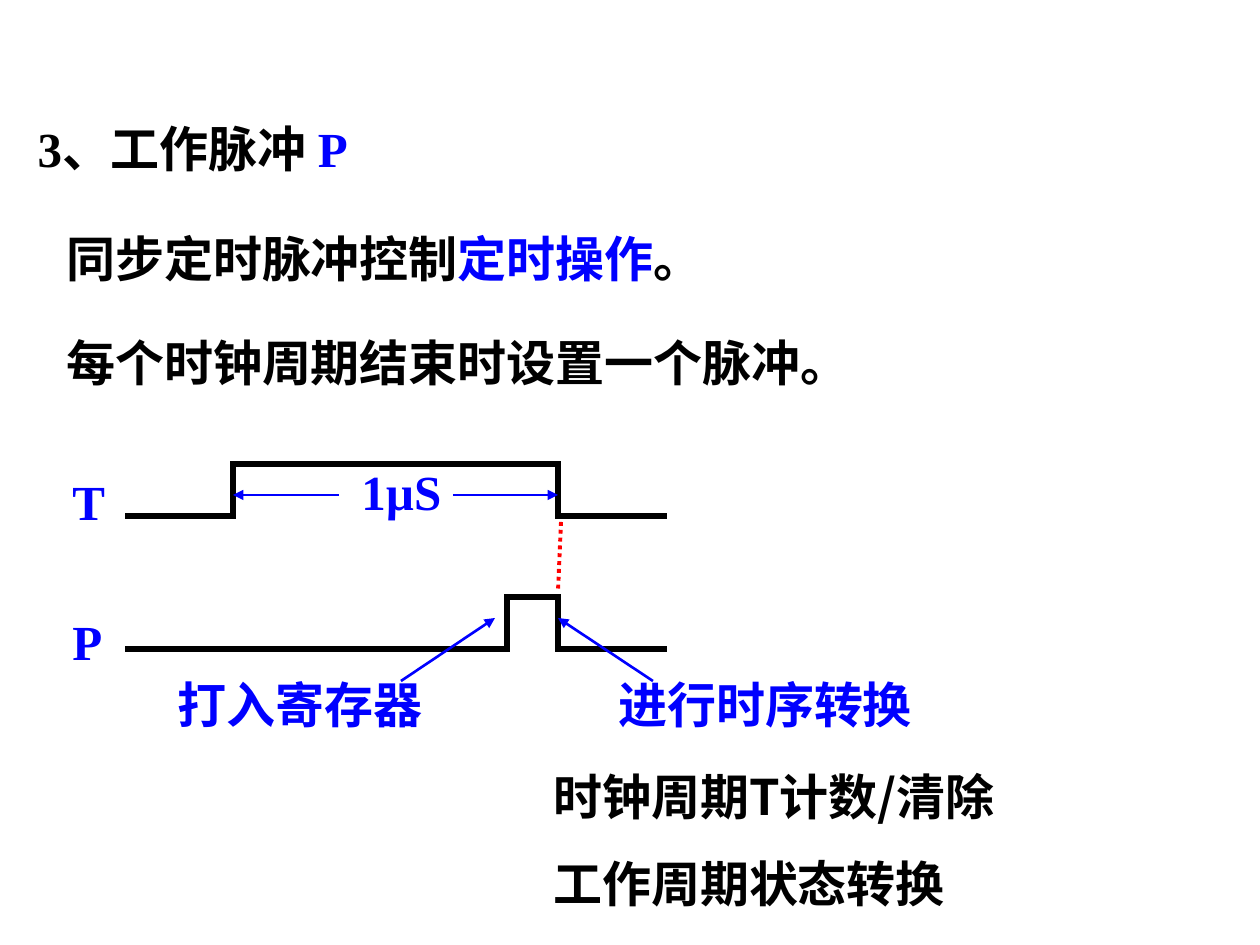
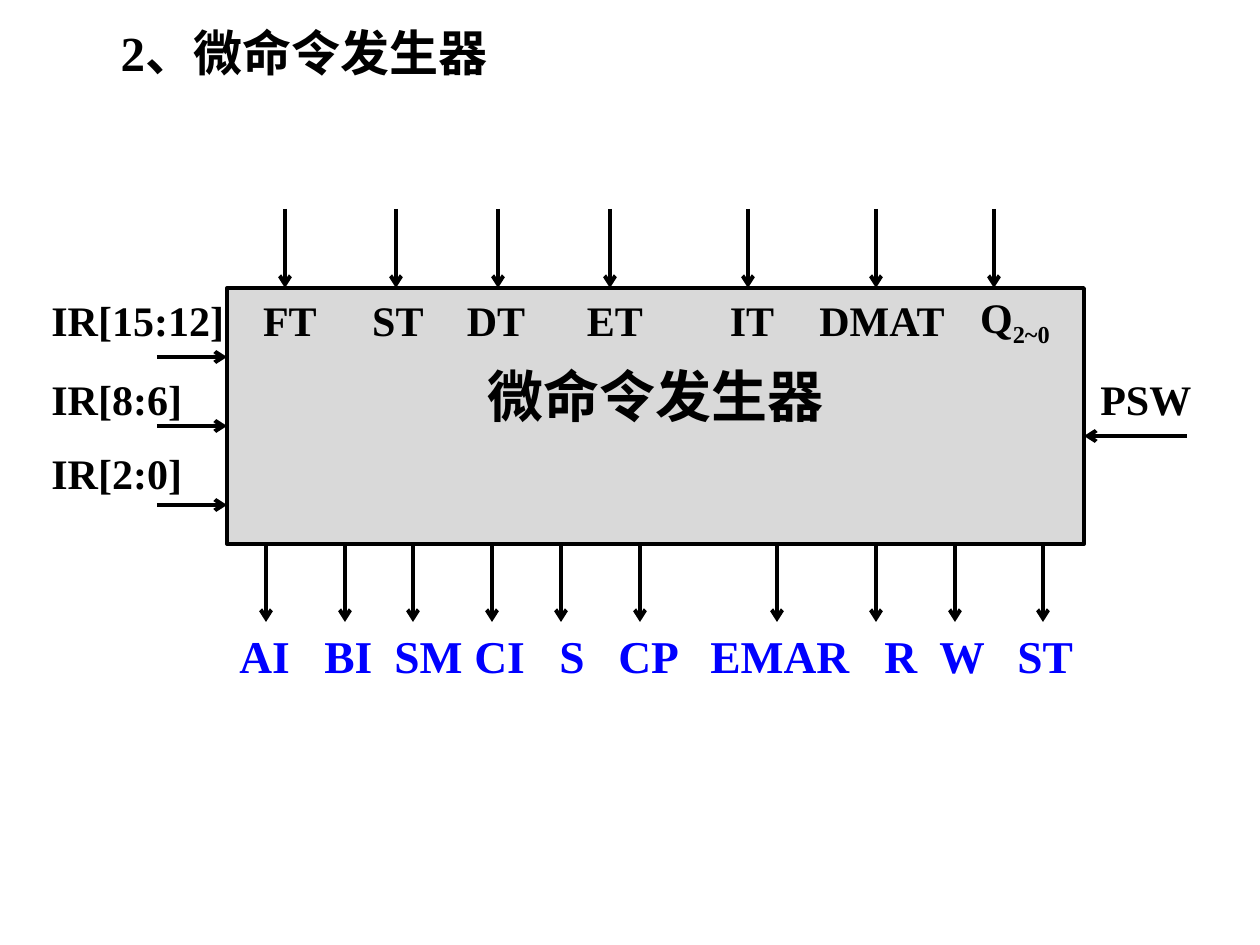
from itertools import pairwise

from lxml import etree
from pptx import Presentation
from pptx import util as u
from pptx.dml.color import RGBColor
from pptx.enum import dml, shapes, text
from pptx.oxml.ns import qn

PIXEL = 914400 / 126
COLORS = {"ink": "000000", "blue": "0000FF", "red": "FF0000", "panel": "D9D9D9"}
LATIN, CJK = "Times New Roman", "Noto Sans CJK SC"
LINE_HEIGHT = 72

# Slide 1: working pulse (spans are text, colour; boxes are left, top, width)
PULSE_TITLE = [("3、工作脉冲 ", "ink"), ("P", "blue")]
PULSE_TEXTS = [
    ([("同步定时脉冲控制", "ink"), ("定时操作", "blue"), ("。", "ink")], (54, 222, 1018), LATIN),
    ([("每个时钟周期结束时设置一个脉冲。", "ink")], (54, 326, 1018), LATIN),
    ([("T", "blue")], (60, 465, 105), LATIN),
    ([("1µS", "blue")], (349, 455, 158), LATIN),
    ([("P", "blue")], (60, 605, 105), LATIN),
    ([("打入寄存器", "blue")], (165, 668, 325), LATIN),
    ([("进行时序转换", "blue")], (606, 668, 378), LATIN),
    ([("时钟周期T计数/清除", "ink")], (541, 760, 655), CJK),
    ([("工作周期状态转换", "ink")], (541, 847, 694), LATIN),
]
WAVE_START, WAVE_END, WAVE_HEIGHT, FALL = 128, 664, 52, 558
WAVES = [(233, 516), (507, 649)]  # rising edge, base line
SPAN_ARROWS = [((339, 495), (233, 495)), ((453, 495), (558, 495))]
NOTE_ARROWS = [((401, 681), (495, 618)), ((653, 681), (558, 618))]

# Slide 2: micro-command generator
GENERATOR_TITLE = [("2、微命令发生器", "ink")]
GENERATOR = "微命令发生器"
BODY = (227, 288, 857, 256)
TOP_ARROWS = [285, 396, 498, 610, 748, 876, 994]
TOP_LABELS = [("FT", 290), ("ST", 398), ("DT", 496), ("ET", 615), ("IT", 752), ("DMAT", 882)]
LEFT_INPUTS = [("IR[15:12]", 288, 357), ("IR[8:6]", 367, 426), ("IR[2:0]", 441, 505)]
BOTTOM_ARROWS = [266, 345, 413, 492, 561, 640, 777, 876, 955, 1043]
OUTPUTS = [("AI", 239), ("BI", 324), ("SM", 394), ("CI", 474), ("S", 559),
           ("CP", 618), ("EMAR", 710), ("R", 884), ("W", 939), ("ST", 1017)]


def px(value):
    return u.Emu(round(value * PIXEL))


def rgb(name):
    return RGBColor.from_string(COLORS[name])


def place(shape, left, top, width, height):
    shape.left, shape.top, shape.width, shape.height = map(px, (left, top, width, height))


def write(shape, spans, size=28, font=LATIN, align=text.PP_ALIGN.LEFT):
    """Fill one bold paragraph with (text, colour) spans."""
    frame = shape.text_frame
    frame.word_wrap = True
    frame.auto_size = text.MSO_AUTO_SIZE.NONE
    frame.vertical_anchor = text.MSO_ANCHOR.TOP
    para = frame.paragraphs[0]
    para.alignment = align
    para.font.size, para.font.name, para.font.bold = u.Pt(size), font, True
    for words, color in spans:
        span = para.add_run()
        span.text = words
        span.font.color.rgb = rgb(color)
    return para


def add_text(page, spans, left, top, width, height=LINE_HEIGHT, **style):
    box = page.shapes.add_textbox(px(left), px(top), px(width), px(height))
    return write(box, spans, **style)


def add_line(page, start, end, color="ink", width=2.25, arrow=None, dash=None, cap=None):
    """Draw a line; an arrowhead, if any, sits at its end."""
    line = page.shapes.add_connector(
        shapes.MSO_CONNECTOR.STRAIGHT, *map(px, (*start, *end)))
    line.line.color.rgb = rgb(color)
    line.line.width = u.Pt(width)
    if dash:
        line.line.dash_style = dash
    properties = line._element.spPr
    outline = properties.find(qn("a:ln"))
    if cap:
        outline.set("cap", cap)
    if arrow:
        etree.SubElement(outline, qn("a:tailEnd"), type=arrow)
    etree.SubElement(properties, qn("a:effectLst"))


def add_page(deck, title, left, top, width):
    page = deck.slides.add_slide(deck.slide_layouts[5])
    place(page.shapes.title, left, top, width, LINE_HEIGHT)
    write(page.shapes.title, title)
    return page


def build_pulse(deck):
    page = add_page(deck, PULSE_TITLE, 25, 112, 651)
    for rise, base in WAVES:
        high = base - WAVE_HEIGHT
        points = [(WAVE_START, base), (rise, base), (rise, high),
                  (FALL, high), (FALL, base), (WAVE_END, base)]
        for start, end in pairwise(points):
            add_line(page, start, end, width=3, cap="sq")
    for start, end in SPAN_ARROWS:
        add_line(page, start, end, "blue", 1, "triangle")
    for start, end in NOTE_ARROWS:
        add_line(page, start, end, "blue", 1.5, "triangle")
    add_line(page, (561, 522), (FALL, 592), "red", dash=dml.MSO_LINE.ROUND_DOT)
    for spans, box, font in PULSE_TEXTS:
        add_text(page, spans, *box, font=font)


def build_generator(deck):
    page = add_page(deck, GENERATOR_TITLE, 108, 16, 442)
    left, top, width, height = BODY
    right, bottom = left + width, top + height
    centre = text.PP_ALIGN.CENTER

    # Generator body
    body = page.shapes.add_shape(shapes.MSO_SHAPE.RECTANGLE, *map(px, BODY))
    body.shadow.inherit = False
    body.fill.solid()
    body.fill.fore_color.rgb = rgb("panel")
    body.line.color.rgb = rgb("ink")
    body.line.width = u.Pt(2.25)
    write(body, [(GENERATOR, "ink")], 32, CJK, centre)
    body.text_frame.margin_top = px(73)

    # Inputs from the left and the right
    for label, label_top, y in LEFT_INPUTS:
        add_line(page, (157, y), (left, y), arrow="arrow")
        add_text(page, [(label, "ink")], 39, label_top, 204, 63, size=24)
    add_line(page, (1187, 436), (right, 436), arrow="arrow")
    add_text(page, [("PSW", "ink")], 1088, 367, 126, 63, size=24)

    # Inputs from above
    for x in TOP_ARROWS:
        add_line(page, (x, 209), (x, top), arrow="arrow")
    for label, x in TOP_LABELS:
        label_width = 158 if len(label) > 2 else 88
        add_text(page, [(label, "ink")], x - label_width / 2, top, label_width, 64,
                 size=24, align=centre)
    state = add_text(page, [("Q", "ink"), ("2~0", "ink")], 951, 285, 128, 63,
                     size=24, align=centre)
    state.runs[1].font._element.set("baseline", "-25000")

    # Outputs below, set on tab stops
    for x in BOTTOM_ARROWS:
        add_line(page, (x, bottom), (x, 622), arrow="arrow")
    names = "\t".join(name for name, x in OUTPUTS)
    row = add_text(page, [(names, "blue")], left, 622, 906, 68, size=26)
    tabs = etree.Element(qn("a:tabLst"))
    first = OUTPUTS[0][1]
    for name, x in OUTPUTS[1:]:
        etree.SubElement(tabs, qn("a:tab"), pos=str(px(x - first)), algn="l")
    row._p.pPr.insert(0, tabs)


deck = Presentation()
deck.slide_width, deck.slide_height = px(1260), px(945)
build_pulse(deck)
build_generator(deck)
deck.save("out.pptx")
